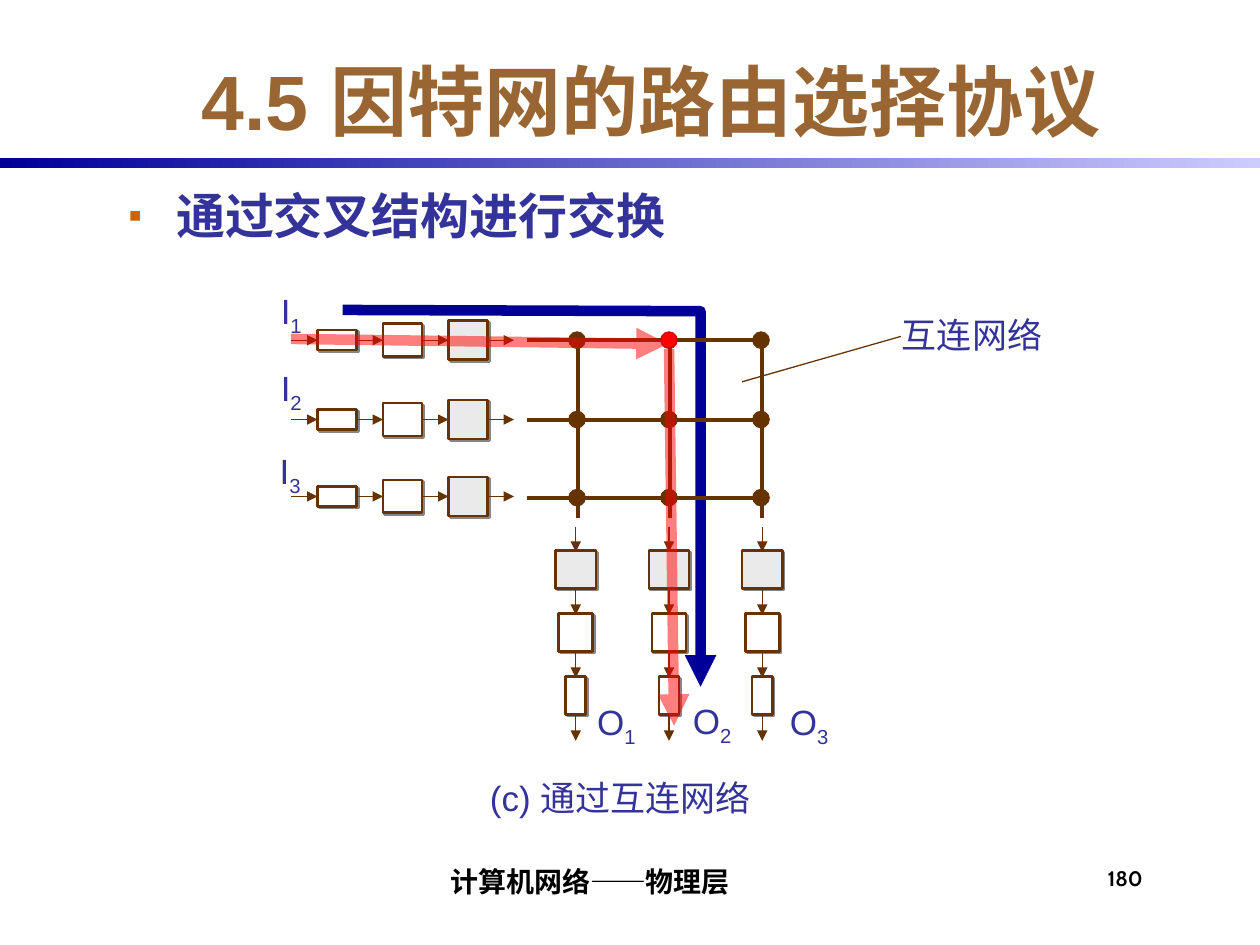
from lxml.etree import SubElement
from pptx import Presentation
from pptx.dml.color import RGBColor
from pptx.enum.shapes import MSO_CONNECTOR, MSO_SHAPE
from pptx.enum.text import MSO_ANCHOR, MSO_AUTO_SIZE, PP_ALIGN
from pptx.oxml.ns import qn
from pptx.util import Inches, Pt

THEME = {
    "title": {"size": 44, "bold": True, "color": "996633", "name": "Arial"},
    "body": {"size": 28, "bold": True, "color": "333399", "name": "Arial"},
    "label": {"size": 20, "bold": False, "color": "333399", "name": "Arial"},
    "footer": {"size": 16, "bold": True, "color": "000000", "name": "Cabin"},
    "number": {"size": 12, "bold": True, "color": "000000", "name": "Cabin"},
    "brown": "663300", "white": "FFFFFF", "gray": "EAEAEA", "shadow": "868686",
    "navy": "000099", "pale": "CCCCFF", "red": "FF0000", "dark_red": "CC0000",
    "bullet": "CC6600",
}
INSET = (0.1, 0.05, 0.1, 0.05)

TITLE = "4.5 因特网的路由选择协议"
BODY = "通过交叉结构进行交换"
FOOTER = "计算机网络——物理层"
NUMBER = "180"
LABELS = [
    ("I", "1", (2.13, 2.25, 0.42, 0.48)),
    ("I", "2", (2.13, 2.86, 0.42, 0.48)),
    ("I", "3", (2.12, 3.52, 0.42, 0.48)),
    ("O", "1", (4.64, 5.51, 0.56, 0.48)),
    ("O", "2", (5.4, 5.5, 0.56, 0.48)),
    ("O", "3", (6.17, 5.51, 0.56, 0.48)),
    ("(c) 通过互连网络", "", (3.79, 6.11, 2.42, 0.44)),
    ("互连网络", "", (7.06, 2.44, 1.38, 0.44)),
]

INPUT_ROWS = (2.7, 3.33, 3.94)
OUTPUT_COLS = (4.57, 5.31, 6.05)
INPUT_BOXES = [(2.52, 0.16, "white"), (3.04, 0.26, "white"), (3.56, 0.31, "gray")]
OUTPUT_BOXES = [(4.37, 0.32, "gray"), (4.87, 0.27, "white"), (5.37, 0.16, "white")]
INPUT_STEP, INPUT_LENGTH, INPUT_START = 0.52, 0.31, 2.31
OUTPUT_STEP, OUTPUT_LENGTH, OUTPUT_START = 0.5, 0.3, 4.18
INPUT_ARROW, OUTPUT_ARROW = 0.21, 0.2

BUS_ROWS = (2.7, 3.33, 3.95)
BUS_COLS = (4.59, 5.32, 6.05)
DOT_COLS = (4.58, 5.31, 6.04)
DOT = 0.13
ACTIVE = (0, 1)
ROUTE = [(2.72, 2.46), (5.56, 2.47), (5.56, 5.45)]
CALLOUT = ((5.89, 3.03), (7.15, 2.67))
PACKET_PATHS = [((2.31, 2.69), (5.3, 2.73)), ((5.31, 2.77), (5.35, 5.76))]


def rgb(name):
    return RGBColor.from_string(THEME.get(name, name))


def add_run(p, text, style, baseline=None):
    r = p.add_run()
    r.text = text
    fmt = dict(THEME[style])
    r.font.color.rgb = rgb(fmt.pop("color"))
    fmt["size"] = Pt(fmt["size"])
    for key, value in fmt.items():
        setattr(r.font, key, value)
    if baseline:
        r.font._element.set("baseline", str(baseline))


def set_frame(tf, inset=INSET, anchor=MSO_ANCHOR.TOP):
    sides = ("margin_left", "margin_top", "margin_right", "margin_bottom")
    fmt = {key: Inches(v) for key, v in zip(sides, inset)}
    fmt.update(vertical_anchor=anchor, word_wrap=True, auto_size=MSO_AUTO_SIZE.NONE)
    for key, value in fmt.items():
        setattr(tf, key, value)


def add_text(s, box, text, style, subscript="", align=PP_ALIGN.LEFT, **frame):
    tf = s.shapes.add_textbox(*map(Inches, box)).text_frame
    set_frame(tf, **frame)
    p = tf.paragraphs[0]
    p.alignment = align
    add_run(p, text, style)
    if subscript:
        add_run(p, subscript, style, -25000)
    return p


def add_bullet(p):
    pPr = p._p.get_or_add_pPr()
    pPr.set("marL", str(Inches(0.38)))
    pPr.set("indent", str(Inches(-0.38)))
    color = SubElement(pPr, qn("a:buClr"))
    SubElement(color, qn("a:srgbClr"), val=THEME["bullet"])
    SubElement(pPr, qn("a:buSzPct"), val="80000")
    SubElement(pPr, qn("a:buFont"), typeface=THEME["body"]["name"])
    SubElement(pPr, qn("a:buChar"), char="▪")


def set_line(sp, color, width, arrow=False, alpha=None):
    sp.line.color.rgb = rgb(color)
    sp.line.width = Pt(width)
    ln = sp.line._get_or_add_ln()
    if alpha:
        SubElement(ln.find(".//" + qn("a:srgbClr")), qn("a:alpha"), val=str(alpha * 1000))
    if arrow:
        SubElement(ln, qn("a:tailEnd"), type="triangle")


def add_line(s, start, end, color="brown", width=0.75, **line):
    sp = s.shapes.add_connector(MSO_CONNECTOR.STRAIGHT, *map(Inches, start + end))
    set_line(sp, color, width, **line)
    SubElement(sp._element.spPr, qn("a:effectLst"))


def add_solid(s, shape, box, fill, line="brown", width=0.75):
    sp = s.shapes.add_shape(shape, *map(Inches, box))
    sp.shadow.inherit = False
    sp.fill.solid()
    sp.fill.fore_color.rgb = rgb(fill)
    set_line(sp, line, width)
    return sp


def add_buffer(s, box, fill):
    sp = add_solid(s, MSO_SHAPE.RECTANGLE, box, fill, width=1.5)
    effects = sp._element.spPr.find(qn("a:effectLst"))
    shadow = SubElement(effects, qn("a:outerShdw"), dist=str(Pt(1.4)),
                        dir="2700000", algn="ctr", rotWithShape="0")
    SubElement(shadow, qn("a:srgbClr"), val=THEME["shadow"])


def add_ports(s):
    for y in INPUT_ROWS:
        for x, height, fill in INPUT_BOXES:
            add_buffer(s, (x, y - height / 2, INPUT_LENGTH, height), fill)
        for i in range(len(INPUT_BOXES) + 1):
            x = INPUT_START + i * INPUT_STEP
            add_line(s, (x, y), (x + INPUT_ARROW, y), arrow=True)
    for x in OUTPUT_COLS:
        for y, width, fill in OUTPUT_BOXES:
            add_buffer(s, (x - width / 2, y, width, OUTPUT_LENGTH), fill)
        for i in range(len(OUTPUT_BOXES) + 1):
            y = OUTPUT_START + i * OUTPUT_STEP
            add_line(s, (x, y), (x, y + OUTPUT_ARROW), arrow=True)


def add_route(s):
    points = [tuple(map(Inches, point)) for point in ROUTE]
    builder = s.shapes.build_freeform(*points[0])
    builder.add_line_segments(points[1:], close=False)
    sp = builder.convert_to_shape()
    sp.shadow.inherit = False
    sp.fill.background()
    set_line(sp, "navy", 6, arrow=True)


def add_crossbar(s):
    for y in BUS_ROWS:
        add_line(s, (4.18, y), (6.05, y), width=2.25)
    for x in BUS_COLS:
        add_line(s, (x, 4.11), (x, 2.7), width=2.25)
    for row, y in enumerate(BUS_ROWS):
        for col, x in enumerate(DOT_COLS):
            colors = ("red", "dark_red") if (row, col) == ACTIVE else ("brown", "brown")
            add_solid(s, MSO_SHAPE.OVAL, (x - DOT / 2, y - DOT / 2, DOT, DOT), *colors)


def main():
    prs = Presentation()
    prs.slide_width, prs.slide_height = Inches(10), Inches(7.5)
    s = prs.slides.add_slide(prs.slide_layouts[5])

    title = s.shapes.title
    for key, value in zip(("left", "top", "width", "height"), (0.92, 0.33, 8.5, 0.92)):
        setattr(title, key, Inches(value))
    set_frame(title.text_frame, anchor=MSO_ANCHOR.MIDDLE)
    p = title.text_frame.paragraphs[0]
    p.alignment = PP_ALIGN.CENTER
    add_run(p, TITLE, "title")

    band = add_solid(s, MSO_SHAPE.RECTANGLE, (0, 1.25, 10, 0.08), "navy")
    band.line.fill.background()
    band.fill.gradient()
    band.fill.gradient_angle = 0
    for stop, color in zip(band.fill.gradient_stops, ("navy", "pale")):
        stop.color.rgb = rgb(color)

    add_bullet(add_text(s, (0.92, 1.42, 8.5, 5), BODY, "body"))
    add_ports(s)
    add_route(s)
    add_crossbar(s)
    for text, subscript, box in LABELS:
        add_text(s, box, text, "label", subscript)
    add_line(s, *CALLOUT)
    for start, end in PACKET_PATHS:
        add_line(s, start, end, "red", 6, arrow=True, alpha=50)

    add_text(s, (2.08, 6.75, 5.17, 0.42), FOOTER, "footer", align=PP_ALIGN.CENTER,
             inset=(0.04, 0, 0, 0.04), anchor=MSO_ANCHOR.BOTTOM)
    add_text(s, (8.75, 6.83, 0.58, 0.42), NUMBER, "number", inset=(0.04, 0.04, 0, 0))
    prs.save("out.pptx")


if __name__ == "__main__":
    main()
